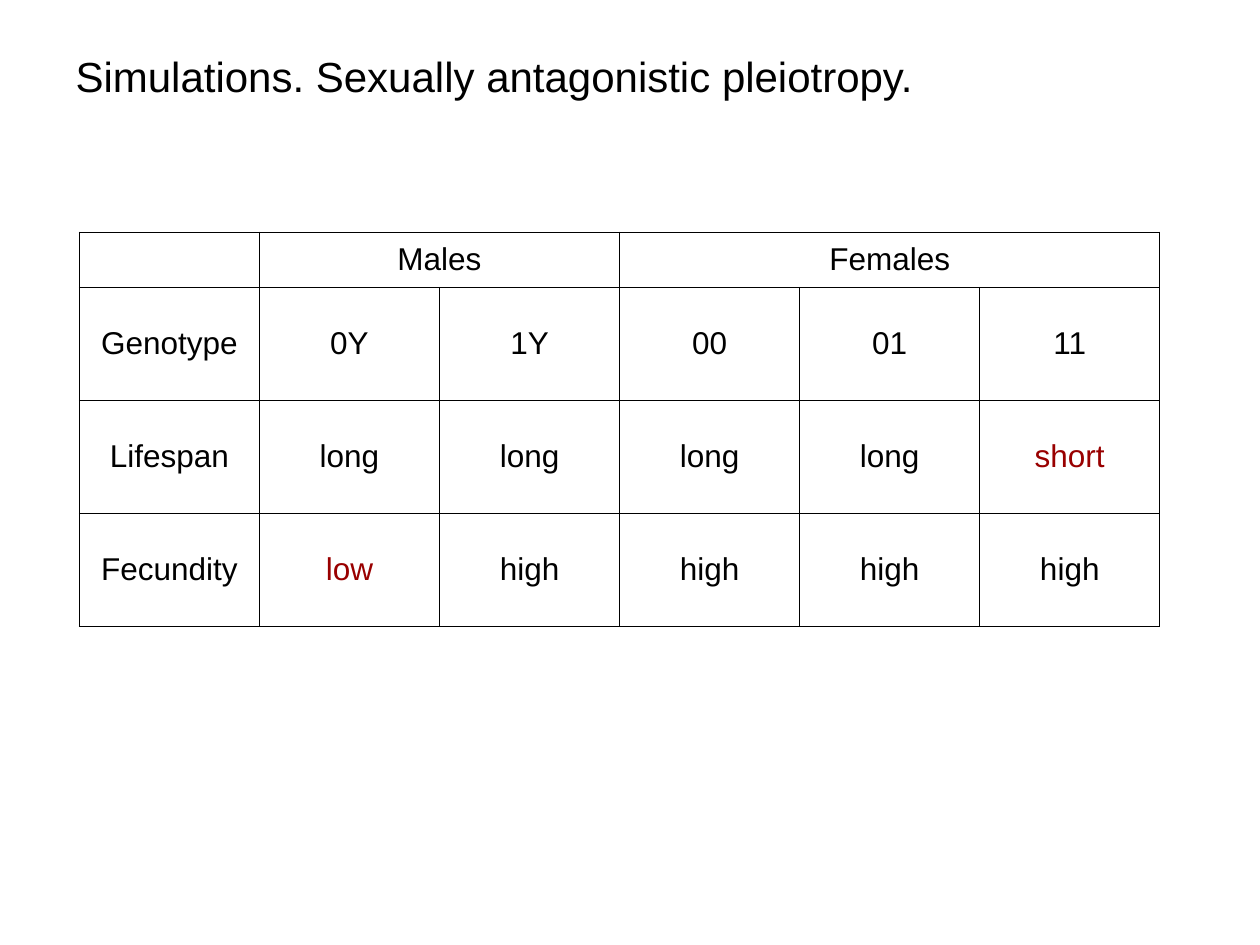
from pptx import Presentation
from pptx.dml.color import RGBColor as Rgb
from pptx.enum.text import MSO_ANCHOR as Anchor, MSO_AUTO_SIZE as AutoSize, PP_ALIGN as Align
from pptx.oxml import parse_xml
from pptx.oxml.ns import nsdecls
from pptx.util import Cm, Pt

COLORS = {"text": "000000", "cost": "990000", "border": "000000"}
FONT = "Arial"
COLUMN_WIDTH = 3.63
ROW_HEIGHTS = [1.11, 2.28, 2.28, 2.28]
ROWS = [
    ["", "Males", "", "Females", "", ""],
    ["Genotype", "0Y", "1Y", "00", "01", "11"],
    ["Lifespan", "long", "long", "long", "long", "short"],
    ["Fecundity", "low", "high", "high", "high", "high"],
]
HEADER_SPANS = [(1, 2), (3, 5)]
COSTS = {"short", "low"}


class SlideBuilder:
    def __init__(self, page):
        self.page = page

    def style(self, para, size, color, align):
        para.alignment = align
        para.font.name = FONT
        para.font.size = Pt(size)
        para.font.color.rgb = Rgb.from_string(COLORS[color])

    def title(self, text, left, top, width, height):
        box = self.page.shapes.title
        box.left, box.top, box.width, box.height = map(Cm, (left, top, width, height))
        frame = box.text_frame
        frame.text = text
        frame.word_wrap = True
        frame.auto_size = AutoSize.NONE
        frame.vertical_anchor = Anchor.TOP
        frame.margin_top, frame.margin_bottom = Cm(0.23), 0
        para = frame.paragraphs[0]
        para.space_before = Pt(0)
        self.style(para, 24, "text", Align.LEFT)

    def borders(self, cell):
        props = cell._tc.get_or_add_tcPr()
        for index, side in enumerate(("lnL", "lnR", "lnT", "lnB")):
            props.insert(index, parse_xml(
                f'<a:{side} {nsdecls("a")} w="{Pt(0.57)}"><a:solidFill>'
                f'<a:srgbClr val="{COLORS["border"]}"/></a:solidFill></a:{side}>'))

    def table(self, rows, left, top, column_width, row_heights, spans):
        columns = len(rows[0])
        table = self.page.shapes.add_table(
            len(rows), columns, Cm(left), Cm(top),
            Cm(column_width * columns), Cm(sum(row_heights))).table
        table.first_row = table.horz_banding = False
        for column in table.columns:
            column.width = Cm(column_width)
        for row, height in zip(table.rows, row_heights):
            row.height = Cm(height)
        for first, last in spans:
            table.cell(0, first).merge(table.cell(0, last))
        for cell, text in zip(table.iter_cells(), sum(rows, [])):
            cell.fill.background()
            self.borders(cell)
            cell.vertical_anchor = Anchor.MIDDLE
            cell.text = text
            color = "cost" if text in COSTS else "text"
            self.style(cell.text_frame.paragraphs[0], 18, color, Align.CENTER)


def main():
    deck = Presentation()
    deck.slide_width, deck.slide_height = Cm(25.4), Cm(19.05)
    builder = SlideBuilder(deck.slides.add_slide(deck.slide_layouts[5]))
    builder.title("Simulations. Sexually antagonistic pleiotropy.", 1.27, 0.79, 21.13, 1.07)
    builder.table(ROWS, 1.6, 4.68, COLUMN_WIDTH, ROW_HEIGHTS, HEADER_SPANS)
    deck.save("out.pptx")


if __name__ == "__main__":
    main()
